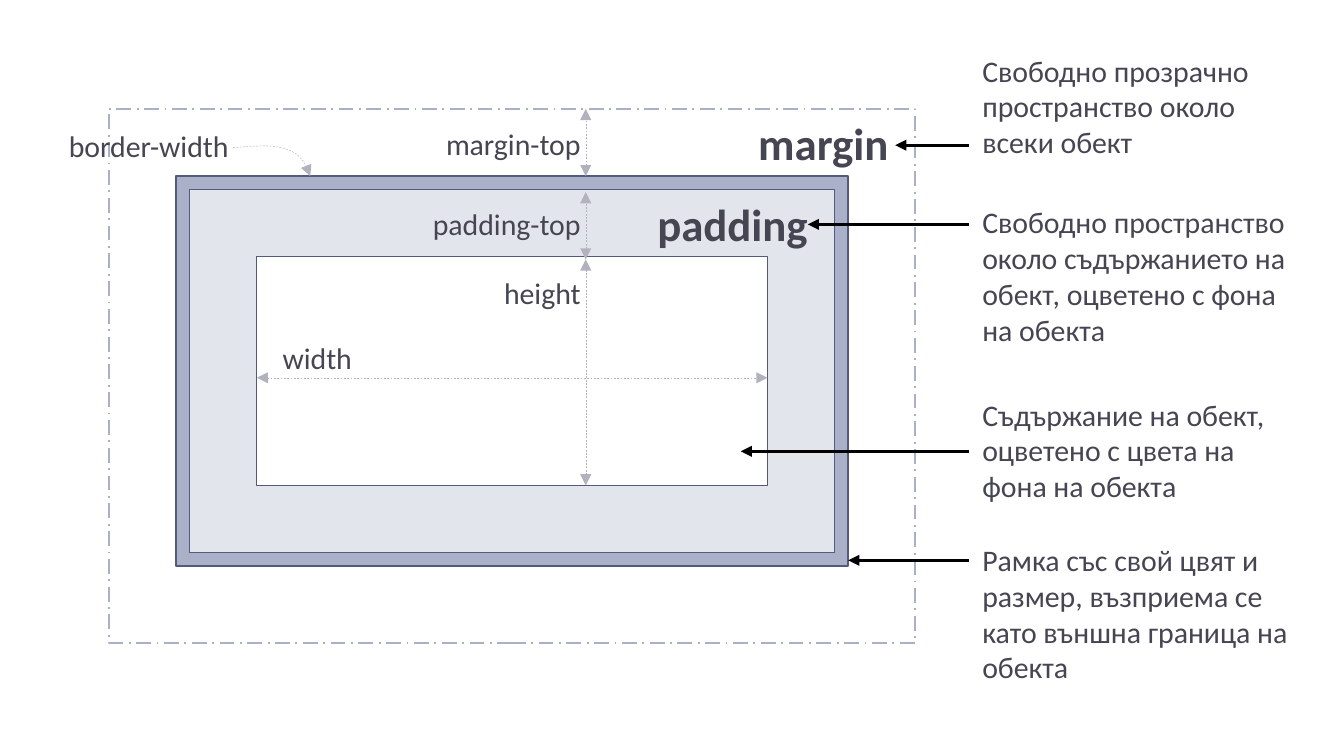
import lxml.etree
import pptx
import pptx.dml.color
import pptx.enum.dml
import pptx.enum.shapes
import pptx.enum.text
import pptx.oxml.ns
import pptx.util

Pt = pptx.util.Pt
ALIGN = pptx.enum.text.PP_ALIGN
ANCHOR = pptx.enum.text.MSO_ANCHOR
DASH = pptx.enum.dml.MSO_LINE
COLORS = {
    "text": "464653",
    "white": "FFFFFF",
    "border": "AAB0C8",
    "padding": "E3E5ED",
    "outline": "525B7E",
    "measure": "B2B2BE",
    "arrow": "000000",
}


class Diagram:
    font = "Calibri"
    label_size = 16
    title_size = 24

    def __init__(self, deck):
        self.page = deck.slides.add_slide(deck.slide_layouts[6])

    def color(self, name):
        return pptx.dml.color.RGBColor.from_string(COLORS[name])

    def stroke(self, line, color, width, dash=None):
        line.color.rgb = self.color(color)
        line.width = Pt(width)
        if dash:
            line.dash_style = dash

    def arrowheads(self, shape, ends):
        outline = shape.line._get_or_add_ln()
        for end in ends:
            tag = pptx.oxml.ns.qn(f"a:{end}")
            lxml.etree.SubElement(outline, tag).set("type", "triangle")

    def add_text(self, shape, text, size, align, anchor, bold=False):
        frame = shape.text_frame
        frame.word_wrap = True
        frame.vertical_anchor = anchor
        para = frame.paragraphs[0]
        para.alignment = align
        span = para.add_run()
        span.text = text
        span.font.name = self.font
        span.font.size = Pt(size)
        span.font.bold = bold
        span.font.color.rgb = self.color("text")

    def layer(self, bounds, fill, line, width, dash=None, title=None):
        kind = pptx.enum.shapes.MSO_SHAPE.RECTANGLE
        box = self.page.shapes.add_shape(kind, *map(Pt, bounds))
        box.shadow.inherit = False
        box.fill.solid()
        box.fill.fore_color.rgb = self.color(fill)
        self.stroke(box.line, line, width, dash)
        if title:
            box.text_frame.margin_right = Pt(14.4)
            self.add_text(box, title, self.title_size, ALIGN.RIGHT, ANCHOR.TOP, True)

    def label(self, bounds, text, align=ALIGN.LEFT, anchor=ANCHOR.MIDDLE):
        box = self.page.shapes.add_textbox(*map(Pt, bounds))
        self.add_text(box, text, self.label_size, align, anchor)
        return box

    def connector(self, start, end, color, width, ends, dash=None):
        kind = pptx.enum.shapes.MSO_CONNECTOR.STRAIGHT
        line = self.page.shapes.add_connector(kind, *map(Pt, start + end))
        self.stroke(line.line, color, width, dash)
        self.arrowheads(line, ends)
        properties = line._element.spPr
        lxml.etree.SubElement(properties, pptx.oxml.ns.qn("a:effectLst"))
        return line

    def pointer(self, start, end):
        return self.connector(start, end, "arrow", 1.5, ["tailEnd"])

    def measure(self, start, end):
        self.connector(start, end, "measure", 0.25, ["headEnd", "tailEnd"], DASH.DASH)

    def curve(self, controls, steps=16):
        points = []
        for step in range(steps + 1):
            t = step / steps
            weights = ((1 - t) ** 3, 3 * t * (1 - t) ** 2, 3 * t**2 * (1 - t), t**3)
            points.append(tuple(
                Pt(sum(w * c[axis] for w, c in zip(weights, controls)))
                for axis in (0, 1)
            ))
        builder = self.page.shapes.build_freeform(*points[0])
        builder.add_line_segments(points[1:], close=False)
        shape = builder.convert_to_shape()
        shape.shadow.inherit = False
        shape.fill.background()
        self.stroke(shape.line, "measure", 0.25, DASH.DASH)
        self.arrowheads(shape, ["tailEnd"])


def inset(bounds, gap):
    left, top, width, height = bounds
    return left + gap, top + gap, width - 2 * gap, height - 2 * gap


def main():
    deck = pptx.Presentation()
    deck.slide_width, deck.slide_height = Pt(720), Pt(405)
    diagram = Diagram(deck)

    margin = (58.4, 58.4, 432, 286)
    border = (94.4, 94.4, 360, 208.8)
    padding = inset(border, 7.2)
    content = inset(padding, 36)
    diagram.layer(margin, "white", "border", 1, DASH.LONG_DASH_DOT, "margin")
    diagram.layer(border, "border", "outline", 0.75)
    diagram.layer(padding, "padding", "outline", 0.75, title="padding")
    diagram.layer(content, "white", "outline", 0.75)

    note_left = 519.2
    notes = [
        (24.5, 66, 77.8, 479.6, "Свободно прозрачно пространство около всеки обект"),
        (105.8, 83, 120.2, 432.8,
         "Свободно пространство около съдържанието на обект, оцветено с фона на обекта"),
        (208.8, 66, 241.8, 396.8,
         "Съдържание на обект, оцветено с цвета на фона на обекта"),
        (286.6, 84, 300.2, 454.4,
         "Рамка със свой цвят и размер, възприема се като външна граница на обекта"),
    ]
    for top, height, arrow_y, target, text in notes:
        box = diagram.label((note_left, top, 187.2, height), text, anchor=ANCHOR.TOP)
        arrow = diagram.pointer((note_left, arrow_y), (target, arrow_y))
        if arrow_y == top + height / 2:
            arrow.begin_connect(box, 1)

    measure_x, measure_y = 313.8, 202.4
    content_right = content[0] + content[2]
    content_bottom = content[1] + content[3]
    for bottom, top in [(border[1], margin[1]), (139, 103), (content_bottom, 139)]:
        diagram.measure((measure_x, bottom), (measure_x, top))
    diagram.measure((content[0], measure_y), (content_right, measure_y))

    labels = [
        (203, 59, 115.2, "margin-top", ALIGN.RIGHT),
        (203, 102, 115.2, "padding-top", ALIGN.RIGHT),
        (203, 139, 115.2, "height", ALIGN.RIGHT),
        (137.6, 173.8, 64.8, "width", ALIGN.CENTER),
        (14.4, 60, 115.2, "border-width", ALIGN.RIGHT),
    ]
    for left, top, width, text, align in labels:
        diagram.label((left, top, width, 36), text, align)
    diagram.curve([(124.8, 79.2), (147, 77), (161.3, 77), (166.2, 94.4)])

    deck.save("out.pptx")


if __name__ == "__main__":
    main()
